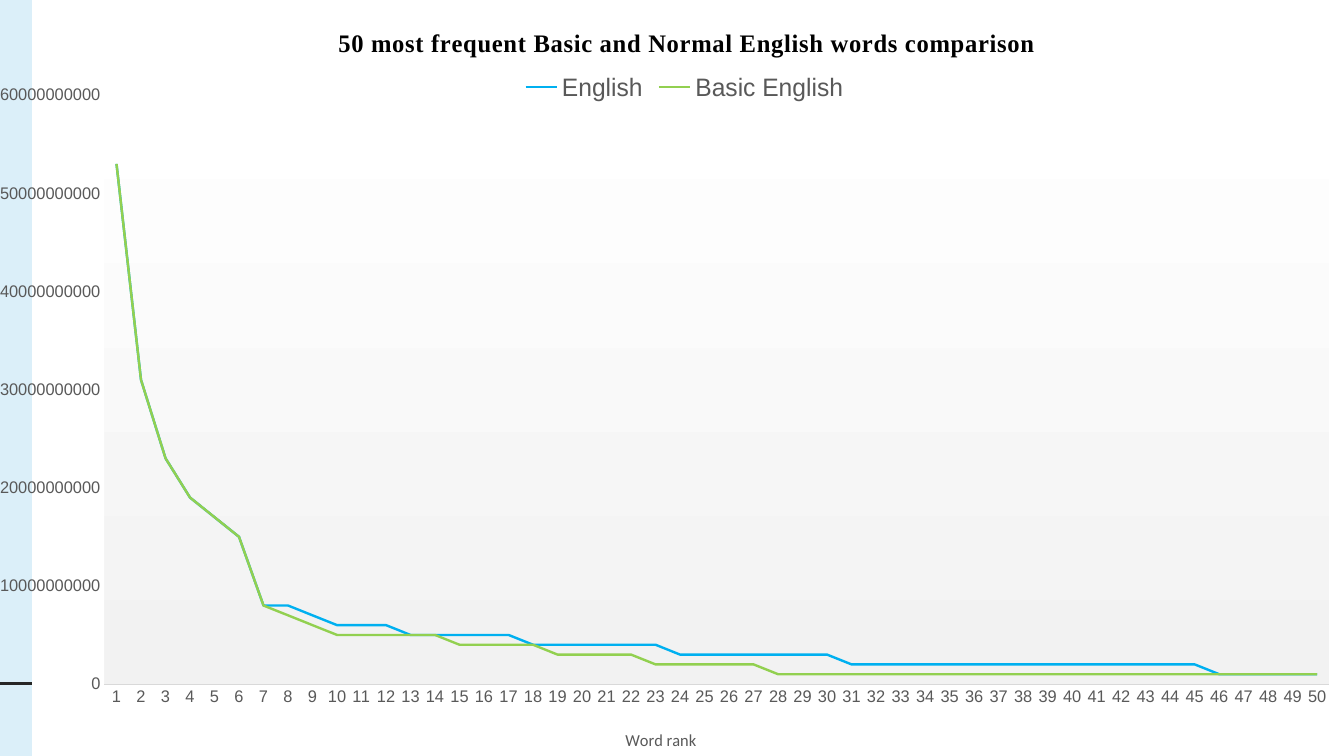
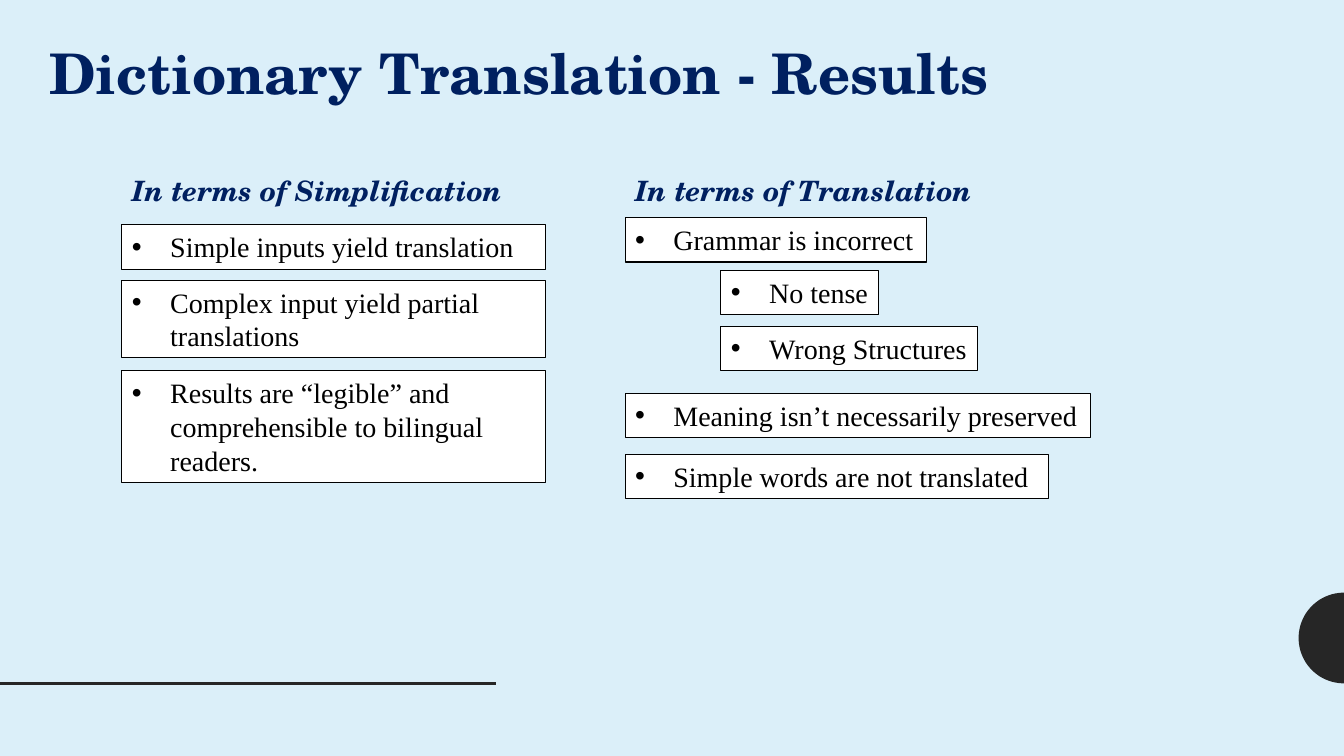
import math
from dataclasses import dataclass
from typing import Optional

from lxml import etree
from pptx import Presentation
from pptx import util as u
from pptx.chart.data import CategoryChartData
from pptx.dml.color import RGBColor
from pptx.enum import chart as charts, shapes, text
from pptx.oxml import parse_xml
from pptx.oxml.ns import nsdecls, qn

Inches = u.Inches


@dataclass(frozen=True)
class Theme:
    width: float = 13.33
    height: float = 7.5
    background: str = "DBEFF9"
    dark: str = "262626"
    navy: str = "002060"
    black: str = "000000"
    white: str = "FFFFFF"
    plot_end: str = "F2F2F2"
    label: str = "595959"
    axis: str = "D9D9D9"
    heading_font: str = "TeX Gyre Schola"
    body_font: str = "Times New Roman"
    label_font: str = "Arial"
    axis_title_font: str = "Calibri"
    title_size: float = 40
    body_size: float = 20
    chart_title_size: float = 18
    label_size: float = 12


THEME = Theme()


@dataclass(frozen=True)
class TextStyle:
    font: str
    size: float
    color: str
    bold: bool = False
    italic: bool = False


TITLE = TextStyle(THEME.heading_font, THEME.title_size, THEME.navy, True)
SUBTITLE = TextStyle(THEME.heading_font, THEME.body_size, THEME.navy, True, True)
BODY = TextStyle(THEME.body_font, THEME.body_size, THEME.black)
CHART_TITLE = TextStyle(THEME.body_font, THEME.chart_title_size, THEME.black, True)
AXIS_TITLE = TextStyle(THEME.axis_title_font, THEME.label_size, THEME.label)
TICK_LABEL = TextStyle(THEME.label_font, THEME.label_size, THEME.label)
LEGEND = TextStyle(THEME.label_font, THEME.chart_title_size, THEME.label)


@dataclass(frozen=True)
class Heading:
    text: str
    left: float
    top: float
    width: float
    height: float
    style: TextStyle


@dataclass(frozen=True)
class Finding:
    text: str
    left: float
    top: float
    width: float
    lines: int = 1

    @property
    def height(self) -> float:
        return round(0.1 + 0.335 * self.lines, 2)


@dataclass(frozen=True)
class Curve:
    name: str
    color: str
    billions: list[int]


LEFT, RIGHT, NESTED = 1.21, 6.2, 7.15

HEADINGS = [
    Heading("Dictionary Translation - Results", 0.39, 0.33, 9.74, 0.77, TITLE),
    Heading("In terms of Simplification", LEFT, 1.67, 3.93, 0.44, SUBTITLE),
    Heading("In terms of Translation", RIGHT, 1.67, 3.65, 0.44, SUBTITLE),
]

FINDINGS = [
    Finding("Simple inputs yield translation", LEFT, 2.23, 4.2),
    Finding("Complex input yield partial translations", LEFT, 2.78, 4.2, 2),
    Finding("Results are “legible” and comprehensible to bilingual readers.",
            LEFT, 3.68, 4.2, 3),
    Finding("Grammar is incorrect", RIGHT, 2.16, 2.99),
    Finding("No tense", NESTED, 2.68, 1.56),
    Finding("Wrong Structures", NESTED, 3.24, 2.55),
    Finding("Meaning isn’t necessarily preserved", RIGHT, 3.9, 4.62),
    Finding("Simple words are not translated", RIGHT, 4.51, 4.2),
]

TOP_WORDS = [53, 31, 23, 19, 17, 15, 8]
CURVES = [
    Curve("English", "00B0F0",
          TOP_WORDS + [8, 7] + [6] * 3 + [5] * 5 + [4] * 6 + [3] * 7 + [2] * 15 + [1] * 5),
    Curve("Basic English", "92D050",
          TOP_WORDS + [7, 6] + [5] * 5 + [4] * 4 + [3] * 4 + [2] * 5 + [1] * 23),
]
BILLION = 10 ** 9


def rgb(color: str) -> RGBColor:
    return RGBColor.from_string(color)


def set_font(font, style: TextStyle) -> None:
    font.name = style.font
    font.size = u.Pt(style.size)
    font.bold = style.bold
    font.italic = style.italic
    font.color.rgb = rgb(style.color)


def add_run(paragraph, content: str, style: TextStyle):
    run = paragraph.add_run()
    run.text = content
    set_font(run.font, style)
    return run


def add_decoration(slide) -> None:
    radius, middle, steps = 0.45, 6.33, 50
    arc = [
        (Inches(THEME.width - radius * math.sin(math.pi * step / steps)),
         Inches(middle + radius * math.cos(math.pi * step / steps)))
        for step in range(steps + 1)
    ]
    builder = slide.shapes.build_freeform(*arc[0])
    builder.add_line_segments(arc[1:], close=True)
    half_circle = builder.convert_to_shape()
    half_circle.shadow.inherit = False
    half_circle.fill.solid()
    half_circle.fill.fore_color.rgb = rgb(THEME.dark)
    half_circle.line.fill.background()

    rule = slide.shapes.add_connector(
        shapes.MSO_CONNECTOR.STRAIGHT, 0, Inches(6.78), Inches(4.92), Inches(6.78))
    rule.line.color.rgb = rgb(THEME.dark)
    rule.line.width = u.Pt(2)
    etree.SubElement(rule._element.spPr, qn("a:effectLst"))


def add_heading(slide, heading: Heading) -> None:
    box = slide.shapes.add_textbox(
        Inches(heading.left), Inches(heading.top),
        Inches(heading.width), Inches(heading.height))
    box.text_frame.word_wrap = False
    box.text_frame.auto_size = text.MSO_AUTO_SIZE.SHAPE_TO_FIT_TEXT
    add_run(box.text_frame.paragraphs[0], heading.text, heading.style)


def add_finding(slide, finding: Finding) -> None:
    box = slide.shapes.add_shape(
        shapes.MSO_SHAPE.RECTANGLE, Inches(finding.left), Inches(finding.top),
        Inches(finding.width), Inches(finding.height))
    box.shadow.inherit = False
    box.fill.solid()
    box.fill.fore_color.rgb = rgb(THEME.white)
    box.line.color.rgb = rgb(THEME.black)
    box.line.width = u.Pt(0.75)
    frame = box.text_frame
    frame.word_wrap = True
    frame.auto_size = text.MSO_AUTO_SIZE.SHAPE_TO_FIT_TEXT
    frame.vertical_anchor = text.MSO_ANCHOR.TOP
    paragraph = frame.paragraphs[0]
    paragraph.alignment = text.PP_ALIGN.LEFT
    properties = paragraph._p.get_or_add_pPr()
    properties.set("marL", str(Inches(0.38)))
    properties.set("indent", str(-Inches(0.38)))
    etree.SubElement(properties, qn("a:buFont")).set("typeface", THEME.label_font)
    etree.SubElement(properties, qn("a:buChar")).set("char", "•")
    add_run(paragraph, finding.text, BODY)


def set_layout(element, left: float, top: float, after: Optional[str] = None,
               size: Optional[tuple[float, float]] = None) -> None:
    for layout in element.findall(qn("c:layout")):
        element.remove(layout)
    values = {"layoutTarget": "inner"} if size else {}
    values |= {"xMode": "edge", "yMode": "edge", "x": left, "y": top}
    if size:
        values |= {"w": size[0], "h": size[1]}
    items = "".join(f'<c:{name} val="{value}"/>' for name, value in values.items())
    layout = parse_xml(
        f'<c:layout {nsdecls("c")}><c:manualLayout>{items}</c:manualLayout></c:layout>')
    if after:
        element.find(qn(after)).addnext(layout)
    else:
        element.insert(0, layout)


def shape_properties(fill: str):
    return parse_xml(
        f'<c:spPr {nsdecls("c", "a")}>{fill}<a:ln><a:noFill/></a:ln></c:spPr>')


def fill_chart(chart) -> None:
    space = chart._chartSpace
    space.find(qn("c:chart")).addnext(shape_properties(
        f'<a:solidFill><a:srgbClr val="{THEME.white}"/></a:solidFill>'))
    stops = "".join(
        f'<a:gs pos="{position}"><a:srgbClr val="{color}"/></a:gs>'
        for position, color in ((0, THEME.white), (100000, THEME.plot_end)))
    plot_area = space.xpath("c:chart/c:plotArea")[0]
    plot_area.append(shape_properties(
        f'<a:gradFill><a:gsLst>{stops}</a:gsLst><a:lin ang="5400000" scaled="0"/></a:gradFill>'))
    set_layout(plot_area, 0.055, 0.126, size=(0.934, 0.779))


def style_axis(axis) -> None:
    axis.has_major_gridlines = False
    axis.major_tick_mark = charts.XL_TICK_MARK.NONE
    axis.minor_tick_mark = charts.XL_TICK_MARK.NONE
    set_font(axis.tick_labels.font, TICK_LABEL)


def add_frequency_chart(slide) -> None:
    data = CategoryChartData(number_format="0")
    data.categories = [str(rank) for rank in range(1, 51)]
    for curve in CURVES:
        data.add_series(curve.name, [value * BILLION for value in curve.billions])
    chart = slide.shapes.add_chart(
        charts.XL_CHART_TYPE.LINE, 0, 0,
        Inches(THEME.width), Inches(THEME.height), data).chart
    chart.font.name = THEME.axis_title_font
    chart.font.size = u.Pt(10)

    chart.has_title = True
    title_run = add_run(
        chart.chart_title.text_frame.paragraphs[0],
        "50 most frequent Basic and Normal English words comparison", CHART_TITLE)
    title_run.font._element.set("spc", "50")
    chart.chart_title.include_in_layout = False
    chart.has_legend = True
    chart.legend.position = charts.XL_LEGEND_POSITION.TOP
    chart.legend.include_in_layout = False
    set_font(chart.legend.font, LEGEND)

    ranks, counts = chart.category_axis, chart.value_axis
    style_axis(ranks)
    style_axis(counts)
    ranks.format.line.color.rgb = rgb(THEME.axis)
    ranks.format.line.width = u.Pt(0.75)
    ranks.has_title = True
    add_run(ranks.axis_title.text_frame.paragraphs[0], "Word rank", AXIS_TITLE)
    counts.format.line.fill.background()
    counts.minimum_scale = 0
    counts.maximum_scale = 60 * BILLION
    counts.major_unit = 10 * BILLION

    chart.plots[0].vary_by_categories = False
    for series, curve in zip(chart.plots[0].series, CURVES):
        series.smooth = False
        series.marker.style = charts.XL_MARKER_STYLE.NONE
        series.format.line.color.rgb = rgb(curve.color)
        series.format.line.width = u.Pt(1.75)

    fill_chart(chart)
    space = chart._chartSpace
    set_layout(space.xpath("c:chart/c:title")[0], 0.23, 0.03, "c:tx")
    set_layout(space.xpath("c:chart/c:legend")[0], 0.37, 0.09, "c:legendPos")
    set_layout(space.xpath(".//c:catAx/c:title")[0], 0.45, 0.96, "c:tx")


def add_slide(presentation):
    slide = presentation.slides.add_slide(presentation.slide_layouts[6])
    add_decoration(slide)
    return slide


def main() -> None:
    presentation = Presentation()
    presentation.slide_width = Inches(THEME.width)
    presentation.slide_height = Inches(THEME.height)
    backdrop = presentation.slide_master.background.fill
    backdrop.solid()
    backdrop.fore_color.rgb = rgb(THEME.background)

    add_frequency_chart(add_slide(presentation))
    results = add_slide(presentation)
    for heading in HEADINGS:
        add_heading(results, heading)
    for finding in FINDINGS:
        add_finding(results, finding)
    presentation.save("out.pptx")


if __name__ == "__main__":
    main()
